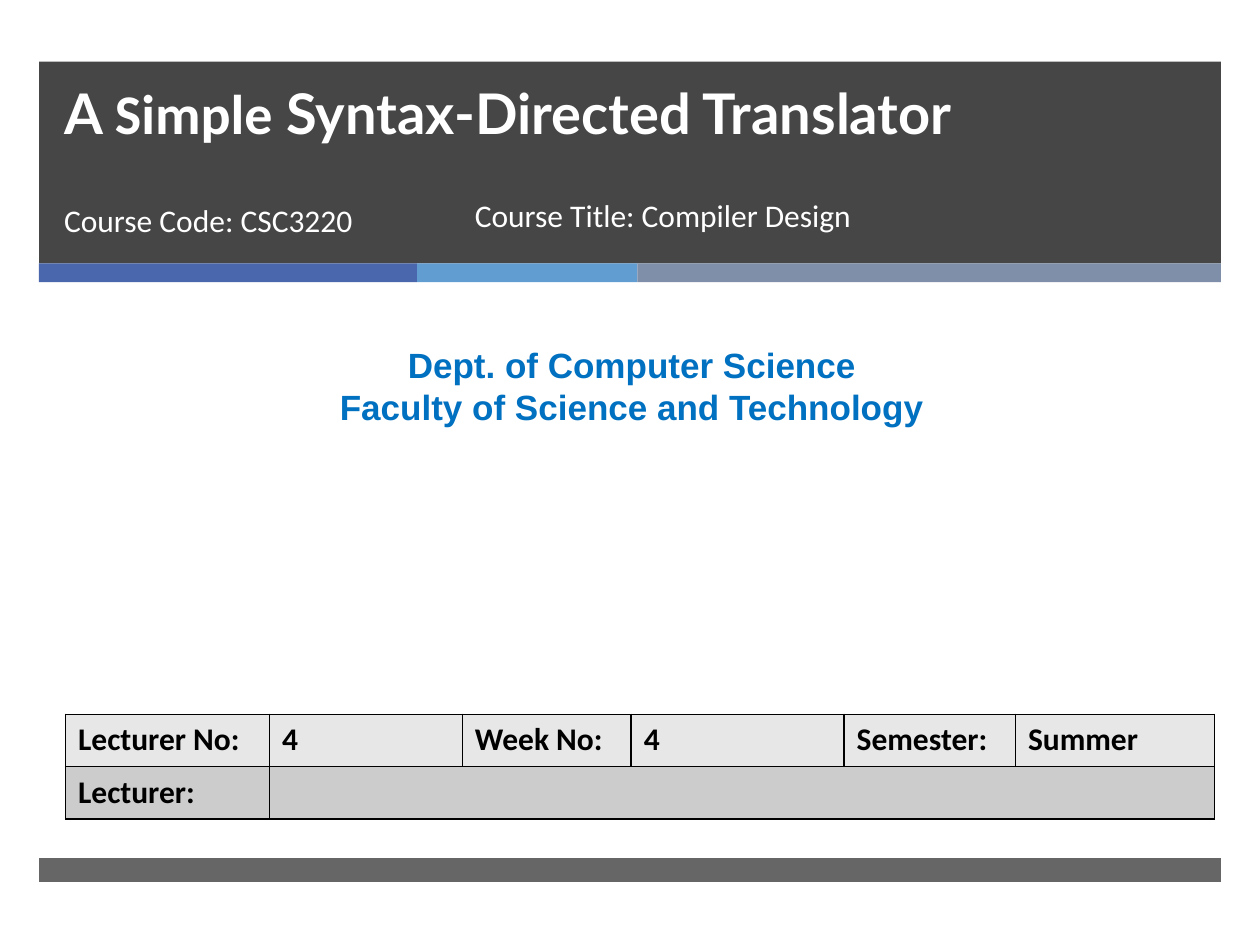
from dataclasses import dataclass

from lxml import etree
from pptx import Presentation
from pptx import util as u
from pptx.dml.color import RGBColor
from pptx.enum import shapes, text
from pptx.oxml import ns


@dataclass(frozen=True)
class Theme:
    dark: str = "262626"
    white: str = "FFFFFF"
    black: str = "000000"
    heading: str = "0070C0"
    accents: tuple = ("4A66AC", "629DD1", "7F8FA9")
    rows: tuple = ("E7E7E7", "CCCCCC")
    title_size: int = 32
    heading_size: int = 20
    body_size: int = 18


theme = Theme()


def add_run(paragraph, words, *, size=theme.body_size, font="Calibri", color=theme.white, bold=False):
    run = paragraph.add_run()
    run.text = words
    run.font.size = u.Pt(size)
    run.font.name = font
    run.font.bold = bold
    run.font.color.rgb = RGBColor.from_string(color)


def add_bar(left, top, width, height, color, opacity=100):
    bar = slide.shapes.add_shape(shapes.MSO_SHAPE.RECTANGLE, *map(u.Inches, (left, top, width, height)))
    bar.shadow.inherit = False
    bar.line.fill.background()
    bar.fill.solid()
    bar.fill.fore_color.rgb = RGBColor.from_string(color)
    if opacity < 100:
        color_element = bar.element.spPr.find(".//" + ns.qn("a:srgbClr"))
        etree.SubElement(color_element, ns.qn("a:alpha"), val=str(opacity * 1000))


presentation = Presentation()
presentation.slide_width = u.Inches(10)
presentation.slide_height = u.Inches(7.5)
slide = presentation.slides.add_slide(presentation.slide_layouts[5])

# Header band, accent strip and footer band
band_left, band_width = 0.31, 9.38
add_bar(band_left, 0.49, band_width, 1.6, theme.dark, opacity=85)
accent_left = band_left
for accent_width, accent_color in zip((3, 1.75, 4.63), theme.accents):
    add_bar(accent_left, 2.09, accent_width, 0.15, accent_color)
    accent_left += accent_width
add_bar(band_left, 6.81, band_width, 0.19, theme.dark, opacity=70)

# Title, brought in front of the header band
title = slide.shapes.title
title.element.getparent().append(title.element)
title.left, title.top, title.width, title.height = map(u.Inches, (0.41, 0.02, 8.54, 1.19))
title.text_frame.auto_size = text.MSO_AUTO_SIZE.NONE
title.text_frame.vertical_anchor = text.MSO_ANCHOR.BOTTOM
title_paragraph = title.text_frame.paragraphs[0]
title_paragraph.alignment = text.PP_ALIGN.LEFT
title_paragraph.line_spacing = u.Pt(46)
for words, font in (("A ", "Lato"), ("Simple", "Calibri"), (" Syntax-Directed Translator", "Lato")):
    add_run(title_paragraph, words, size=theme.title_size, font=font, bold=True)

# Course details and department
heading = dict(size=theme.heading_size, font="Arial", color=theme.heading, bold=True)
text_blocks = (
    ((0.41, 1.55, 3.05, 0.53), ["Course Code: CSC3220"], text.PP_ALIGN.LEFT, {}),
    ((3.67, 1.51, 4.55, 0.53), ["Course Title: Compiler Design"], text.PP_ALIGN.LEFT, {}),
    ((0.08, 2.68, 9.87, 0.77), ["Dept. of Computer Science", "Faculty of Science and Technology"],
     text.PP_ALIGN.CENTER, heading),
)
for position, lines, alignment, style in text_blocks:
    frame = slide.shapes.add_textbox(*map(u.Inches, position)).text_frame
    frame.word_wrap = True
    for index, line in enumerate(lines):
        paragraph = frame.add_paragraph() if index else frame.paragraphs[0]
        paragraph.alignment = alignment
        add_run(paragraph, line, **style)

# Lecture table
table_rows = (
    ("Lecturer No:", "4", "Week No:", "4", "Semester:", "Summer"),
    ("Lecturer:", "", "", "", "", ""),
)
column_widths = (1.62, 1.53, 1.34, 1.69, 1.36, 1.58)
table = slide.shapes.add_table(len(table_rows), len(column_widths), u.Inches(0.52), u.Inches(5.67),
                               u.Inches(sum(column_widths)), u.Inches(0.83)).table
for column, width in zip(table.columns, column_widths):
    column.width = u.Inches(width)
for row_index, (row, row_color) in enumerate(zip(table_rows, theme.rows)):
    for column_index, words in enumerate(row):
        cell = table.cell(row_index, column_index)
        properties = cell._tc.get_or_add_tcPr()
        for side in ("lnL", "lnR", "lnT", "lnB"):
            border = etree.SubElement(properties, ns.qn("a:" + side), w=str(u.Pt(1)))
            border_fill = etree.SubElement(border, ns.qn("a:solidFill"))
            etree.SubElement(border_fill, ns.qn("a:srgbClr"), val=theme.black)
        cell.fill.solid()
        cell.fill.fore_color.rgb = RGBColor.from_string(row_color)
        if words:
            add_run(cell.text_frame.paragraphs[0], words, color=theme.black, bold=True)
table.cell(1, 1).merge(table.cell(1, 5))

presentation.save("out.pptx")
